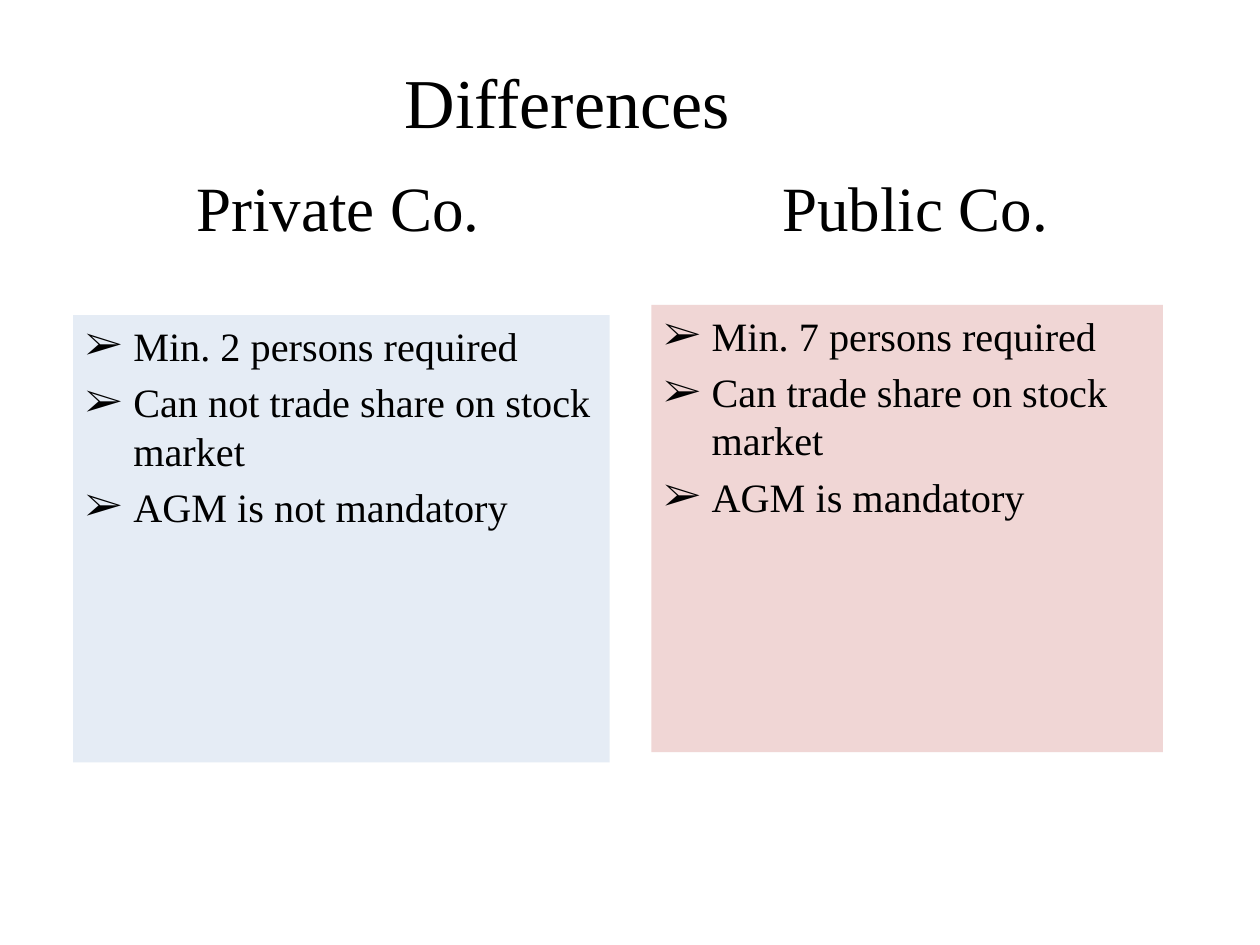
from lxml import etree
from pptx import Presentation
from pptx.dml.color import RGBColor
from pptx.enum import shapes, text
from pptx.oxml import ns
from pptx.util import Inches, Pt

FONT = "Times New Roman"
BLACK = RGBColor(0x00, 0x00, 0x00)
BLUE = RGBColor(0xB9, 0xCD, 0xE5)
PINK = RGBColor(0xE6, 0xB9, 0xB8)
INDENT = Inches(0.38)

PRIVATE_POINTS = [
    "Min. 2 persons required",
    "Can not trade share on stock market",
    "AGM is not mandatory",
]
PUBLIC_POINTS = [
    "Min. 7 persons required",
    "Can trade share on stock market",
    "AGM is mandatory",
]


def style_font(font, size):
    font.name = FONT
    font.size = Pt(size)
    font.color.rgb = BLACK


def add_heading(page, words, place, size, align=text.PP_ALIGN.LEFT):
    box = page.shapes.add_textbox(*map(Inches, place))
    frame = box.text_frame
    frame.word_wrap = True
    frame.vertical_anchor = text.MSO_ANCHOR.MIDDLE
    frame.text = words
    paragraph = frame.paragraphs[0]
    paragraph.alignment = align
    style_font(paragraph.runs[0].font, size)


def set_opacity(shape, percent):
    color = shape.fill._xPr.find(".//" + ns.qn("a:srgbClr"))
    etree.SubElement(color, ns.qn("a:alpha"), val=str(percent * 1000))


def add_bullet(paragraph):
    properties = paragraph._p.get_or_add_pPr()
    properties.set("marL", str(INDENT))
    properties.set("indent", str(-INDENT))
    etree.SubElement(properties, ns.qn("a:buFont"), typeface=FONT)
    etree.SubElement(properties, ns.qn("a:buChar"), char="➢")


def add_panel(page, points, place, color, opacity):
    panel = page.shapes.add_shape(
        shapes.MSO_SHAPE.RECTANGLE, *map(Inches, place)
    )
    panel.shadow.inherit = False
    panel.fill.solid()
    panel.fill.fore_color.rgb = color
    set_opacity(panel, opacity)
    panel.line.fill.background()
    frame = panel.text_frame
    frame.word_wrap = True
    frame.vertical_anchor = text.MSO_ANCHOR.TOP
    frame.text = "\n".join(points)
    for index, paragraph in enumerate(frame.paragraphs):
        add_bullet(paragraph)
        paragraph.alignment = text.PP_ALIGN.LEFT
        if index:
            paragraph.space_before = Pt(4.6)
        style_font(paragraph.runs[0].font, 23)


def main():
    deck = Presentation()
    deck.slide_width, deck.slide_height = Inches(10), Inches(7.5)
    page = deck.slides.add_slide(deck.slide_layouts[6])
    add_heading(
        page, "Differences", (0, 0.17, 9, 1.25), 40, text.PP_ALIGN.CENTER
    )
    add_panel(page, PRIVATE_POINTS, (0.58, 2.5, 4.26, 3.55), BLUE, 37)
    add_panel(page, PUBLIC_POINTS, (5.17, 2.42, 4.06, 3.55), PINK, 58)
    add_heading(page, "Private Co.", (1.46, 1.28, 2.91, 0.71), 36)
    add_heading(page, "Public Co.", (6.11, 1.28, 2.52, 0.71), 36)
    deck.save("out.pptx")


if __name__ == "__main__":
    main()
